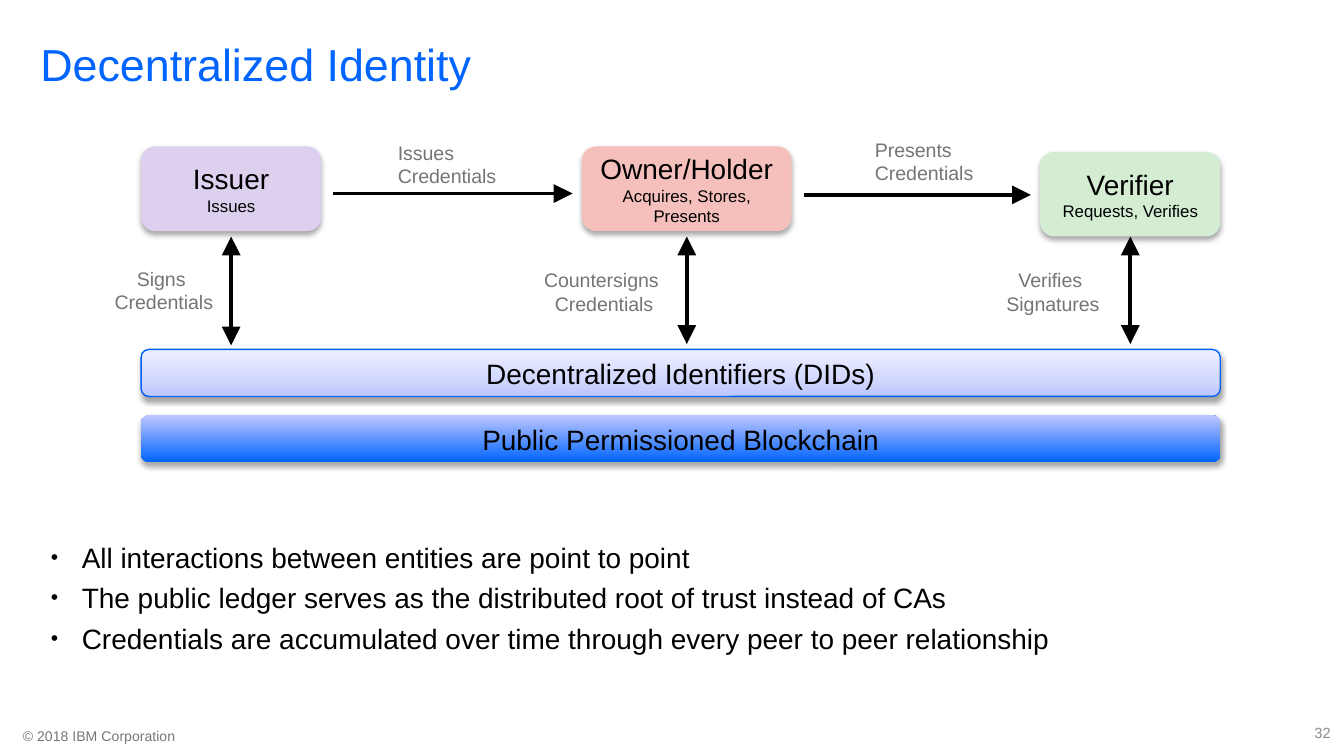
from copy import deepcopy
from typing import NamedTuple, Optional

from lxml.etree import SubElement
from pptx import Presentation
from pptx.dml.color import RGBColor
from pptx.enum.shapes import MSO_CONNECTOR, MSO_SHAPE
from pptx.enum.text import MSO_ANCHOR, MSO_AUTO_SIZE, PP_ALIGN
from pptx.oxml.ns import qn
from pptx.util import Emu, Pt

PX = 9144  # 100 px to the inch
BLACK = RGBColor(0x00, 0x00, 0x00)
BLUE = RGBColor(0x00, 0x64, 0xFF)
OUTLINE = RGBColor(0x00, 0x62, 0xF9)
LABEL_GRAY = RGBColor(0x75, 0x75, 0x75)
FOOTER_GRAY = RGBColor(0x77, 0x77, 0x77)
NUMBER_GRAY = RGBColor(0x8C, 0x8C, 0x8C)
PURPLE = RGBColor(0xDD, 0xD0, 0xEF)
PINK = RGBColor(0xF5, 0xC0, 0xBC)
GREEN = RGBColor(0xD3, 0xEC, 0xD2)
LAVENDER = RGBColor(0xBD, 0xC6, 0xFF)
PALE = RGBColor(0xD1, 0xD7, 0xFF)
PALEST = RGBColor(0xEE, 0xF0, 0xFF)
LEFT, CENTER, RIGHT = PP_ALIGN.LEFT, PP_ALIGN.CENTER, PP_ALIGN.RIGHT


class Line(NamedTuple):
    text: str
    size: float
    color: RGBColor = BLACK
    align: PP_ALIGN = LEFT


class Box(NamedTuple):
    x: int
    y: int
    w: int
    h: int


class Role(NamedTuple):
    name: str
    duties: str
    box: Box
    color: RGBColor


class Layer(NamedTuple):
    name: str
    y: int
    stops: list[tuple[float, RGBColor]]
    outline: Optional[RGBColor] = None


class Arrow(NamedTuple):
    x1: int
    y1: int
    x2: int
    y2: int
    double: bool = False


class Label(NamedTuple):
    box: Box
    lines: tuple[str, str]
    aligns: tuple[PP_ALIGN, PP_ALIGN] = (CENTER, CENTER)


ROLES = [
    Role("Owner/Holder", "Acquires, Stores, Presents", Box(433, 109, 156, 63), PINK),
    Role("Verifier", "Requests, Verifies", Box(774, 113, 134, 63), GREEN),
    Role("Issuer", "Issues", Box(105, 109, 134, 63), PURPLE),
]
LAYERS = [
    Layer("Decentralized Identifiers (DIDs)", 260,
          [(0, LAVENDER), (0.35, PALE), (1, PALEST)], OUTLINE),
    Layer("Public Permissioned Blockchain", 309, [(0, BLUE), (1, LAVENDER)]),
]
ARROWS = [
    Arrow(248, 144, 426, 144),
    Arrow(598, 145, 767, 145),
    Arrow(172, 257, 172, 176, True),
    Arrow(511, 256, 511, 176, True),
]
VERIFIER_ARROW = Arrow(841, 256, 841, 176, True)
LABELS = [
    Label(Box(294, 102, 80, 40), ("Issues", "Credentials"), (LEFT, CENTER)),
    Label(Box(649, 100, 80, 40), ("Presents", "Credentials"), (LEFT, LEFT)),
    Label(Box(82, 196, 80, 40), ("Signs ", "Credentials")),
    Label(Box(402, 197, 95, 40), ("Countersigns ", "Credentials")),
    Label(Box(746, 197, 75, 40), ("Verifies ", "Signatures")),
]
BULLETS = [
    "All interactions between entities are point to point",
    "The public ledger serves as the distributed root of trust instead of CAs",
    "Credentials are accumulated over time through every peer to peer relationship",
]


def emu(box: Box) -> list[Emu]:
    return [Emu(v * PX) for v in box]


def write(sp, lines: list[Line], inset: tuple[int, int] = (2, 2),
          anchor=MSO_ANCHOR.MIDDLE, wrap: bool = True) -> None:
    tf = sp.text_frame
    tf.word_wrap = wrap
    tf.vertical_anchor = anchor
    tf.margin_left = tf.margin_right = Emu(inset[0] * PX)
    tf.margin_top = tf.margin_bottom = Emu(inset[1] * PX)
    for i, line in enumerate(lines):
        p = tf.add_paragraph() if i else tf.paragraphs[0]
        p.alignment = line.align
        r = p.add_run()
        r.text = line.text
        r.font.name = "Arial"
        r.font.size = Pt(line.size)
        r.font.color.rgb = line.color


def add_text(s, box: Box, lines: list[Line], **options):
    sp = s.shapes.add_textbox(*emu(box))
    write(sp, lines, **options)
    return sp


def add_panel(s, box: Box, lines: list[Line]):
    """Add a borderless rounded rectangle with a soft shadow below it."""
    sp = s.shapes.add_shape(MSO_SHAPE.ROUNDED_RECTANGLE, *emu(box))
    sp.line.fill.background()
    sp.shadow.inherit = False
    effects = sp.element.spPr.find(qn("a:effectLst"))
    shadow = SubElement(effects, qn("a:outerShdw"), blurRad=str(Pt(3.1)),
                        dist=str(Pt(1.8)), dir="5400000", rotWithShape="0")
    color = SubElement(shadow, qn("a:srgbClr"), val=str(BLACK))
    SubElement(color, qn("a:alpha"), val="35000")
    write(sp, lines)
    return sp


def add_role(s, role: Role):
    sp = add_panel(s, role.box, [Line(role.name, 15, align=CENTER),
                                 Line(role.duties, 9, align=CENTER)])
    sp.fill.solid()
    sp.fill.fore_color.rgb = role.color
    return sp


def add_layer(s, layer: Layer) -> None:
    sp = add_panel(s, Box(105, layer.y, 803, 35), [Line(layer.name, 15, align=CENTER)])
    sp.fill.gradient()
    sp.fill.gradient_angle = 90
    stop_list = sp.element.spPr.find(qn("a:gradFill")).find(qn("a:gsLst"))
    while len(stop_list) < len(layer.stops):
        stop_list.append(deepcopy(stop_list[0]))
    for stop, (position, color) in zip(sp.fill.gradient_stops, layer.stops):
        stop.position = position
        stop.color.rgb = color
    if layer.outline is not None:
        sp.line.color.rgb = layer.outline
        sp.line.width = Pt(0.75)


def add_arrow(s, arrow: Arrow):
    ends = [Emu(v * PX) for v in arrow[:4]]
    cxn = s.shapes.add_connector(MSO_CONNECTOR.STRAIGHT, *ends)
    cxn.line.color.rgb = BLACK
    cxn.line.width = Pt(2)
    ln = cxn.element.spPr.find(qn("a:ln"))
    for tag in ("a:headEnd", "a:tailEnd") if arrow.double else ("a:tailEnd",):
        SubElement(ln, qn(tag), type="triangle", w="lg", len="lg")
    SubElement(cxn.element.spPr, qn("a:effectLst"))
    return cxn


def add_label(s, label: Label) -> None:
    lines = [Line(text, 10.5, LABEL_GRAY, align)
             for text, align in zip(label.lines, label.aligns)]
    sp = add_text(s, label.box, lines, wrap=False)
    sp.text_frame.auto_size = MSO_AUTO_SIZE.SHAPE_TO_FIT_TEXT


def add_bullets(s, box: Box, items: list[str]) -> None:
    sp = add_text(s, box, [Line(item, 15) for item in items],
                  inset=(10, 5), anchor=MSO_ANCHOR.TOP)
    for i, p in enumerate(sp.text_frame.paragraphs):
        if i:
            p.space_before = Pt(3.8)
        pPr = p._p.get_or_add_pPr()
        pPr.set("marL", str(23 * PX))
        pPr.set("indent", str(-23 * PX))
        SubElement(pPr, qn("a:buSzPct"), val="75000")
        SubElement(pPr, qn("a:buFont"), typeface="Arial")
        SubElement(pPr, qn("a:buChar"), char="•")


def main() -> None:
    prs = Presentation()
    prs.slide_width = Emu(1000 * PX)
    prs.slide_height = Emu(prs.slide_width * 9 // 16)
    s = prs.slides.add_slide(prs.slide_layouts[6])
    add_text(s, Box(15, 539, 969, 17), [Line("© 2018 IBM Corporation", 7.5, FOOTER_GRAY)])
    add_text(s, Box(767, 530, 233, 30), [Line("32", 7.9, NUMBER_GRAY, RIGHT)], inset=(10, 5))
    add_bullets(s, Box(28, 397, 965, 121), BULLETS)
    roles = {role.name: add_role(s, role) for role in ROLES}
    for layer in LAYERS:
        add_layer(s, layer)
    for arrow in ARROWS:
        add_arrow(s, arrow)
    add_arrow(s, VERIFIER_ARROW).end_connect(roles["Verifier"], 2)
    for label in LABELS:
        add_label(s, label)
    add_text(s, Box(28, 25, 936, 45), [Line("Decentralized Identity", 24, BLUE)],
             anchor=MSO_ANCHOR.TOP)
    prs.save("out.pptx")


if __name__ == "__main__":
    main()
